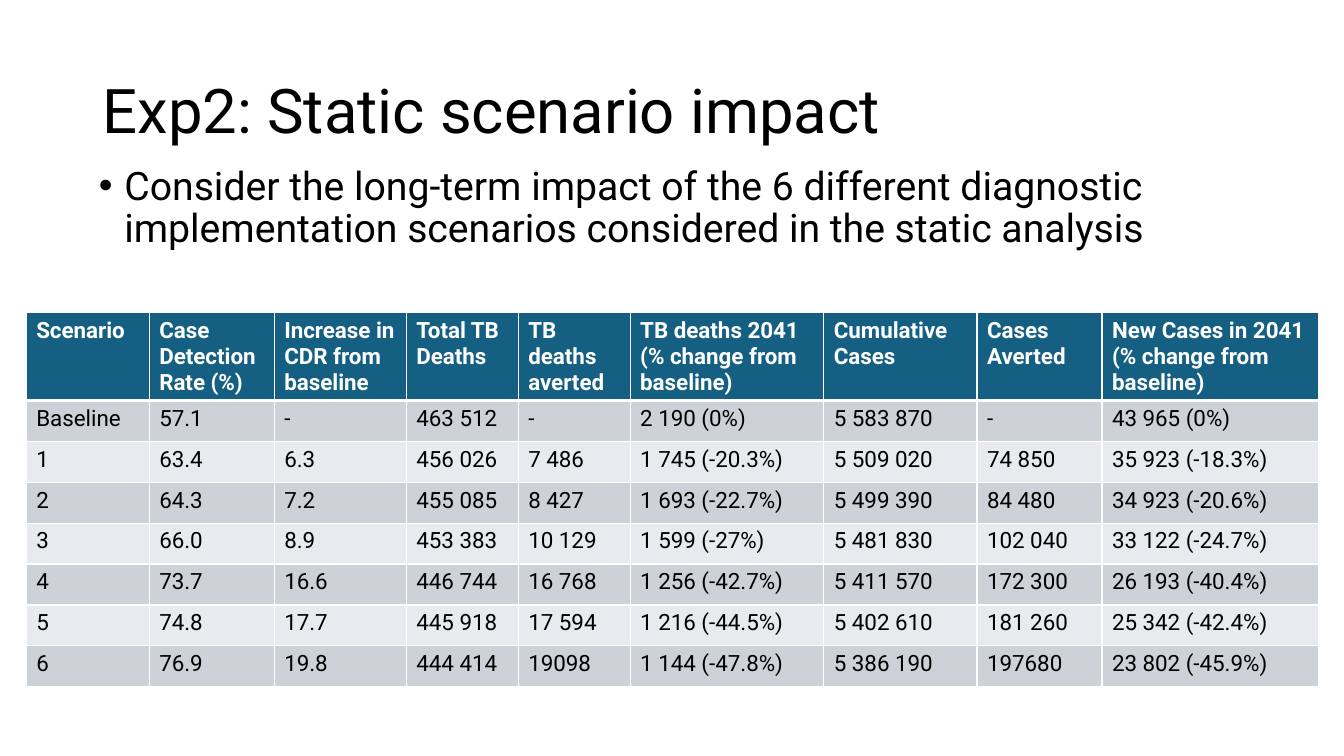
from lxml.etree import SubElement
from pptx import Presentation
from pptx.dml.color import RGBColor
from pptx.enum.text import MSO_ANCHOR, MSO_AUTO_SIZE, PP_ALIGN
from pptx.oxml.ns import qn
from pptx.util import Cm, Pt

TITLE = "Exp2: Static scenario impact"
BULLET = ("Consider the long-term impact of the 6 different diagnostic "
          "implementation scenarios considered in the static analysis")
HEADINGS = (
    "Scenario", "Case Detection Rate (%)", "Increase in CDR from baseline",
    "Total TB Deaths", "TB deaths averted",
    "TB deaths 2041\n(% change from baseline)", "Cumulative Cases",
    "Cases Averted", "New Cases in 2041 (% change from baseline)",
)
SCENARIOS = (
    ("Baseline", "57.1", "-", "463 512", "-", "2 190 (0%)",
     "5 583 870", "-", "43 965 (0%)"),
    ("1", "63.4", "6.3", "456 026", "7 486", "1 745 (-20.3%)",
     "5 509 020", "74 850", "35 923 (-18.3%)"),
    ("2", "64.3", "7.2", "455 085", "8 427", "1 693 (-22.7%)",
     "5 499 390", "84 480", "34 923 (-20.6%)"),
    ("3", "66.0", "8.9", "453 383", "10 129", "1 599 (-27%)",
     "5 481 830", "102 040", "33 122 (-24.7%)"),
    ("4", "73.7", "16.6", "446 744", "16 768", "1 256 (-42.7%)",
     "5 411 570", "172 300", "26 193 (-40.4%)"),
    ("5", "74.8", "17.7", "445 918", "17 594", "1 216 (-44.5%)",
     "5 402 610", "181 260", "25 342 (-42.4%)"),
    ("6", "76.9", "19.8", "444 414", "19098", "1 144 (-47.8%)",
     "5 386 190", "197680", "23 802 (-45.9%)"),
)
COLUMN_WIDTHS = (3.1, 3.15, 3.33, 2.82, 2.82, 4.88, 3.86, 3.15, 5.46)
ROW_HEIGHT = 1.03

FONT = "Roboto"
BLACK = RGBColor(0x00, 0x00, 0x00)
WHITE = RGBColor(0xFF, 0xFF, 0xFF)
HEADER_BLUE = RGBColor(0x15, 0x60, 0x82)
BANDS = (RGBColor(0xCC, 0xD2, 0xD8), RGBColor(0xE8, 0xEA, 0xED))


def write(frame, text, size, color=BLACK, bold=False, spacing=None, before=0):
    frame.text = text
    for para in frame.paragraphs:
        para.alignment = PP_ALIGN.LEFT
        para.line_spacing = spacing
        para.space_before = Pt(before)
        for span in para.runs:
            span.font.name = FONT
            span.font.size = Pt(size)
            span.font.bold = bold
            span.font.color.rgb = color


def place(box, left, top, width, height):
    box.left, box.top = Cm(left), Cm(top)
    box.width, box.height = Cm(width), Cm(height)
    box.text_frame.word_wrap = True
    box.text_frame.auto_size = MSO_AUTO_SIZE.NONE


def set_borders(cell, top=1, bottom=1):
    """Draw white borders; must run before the cell is filled."""
    properties = cell._tc.get_or_add_tcPr()
    for side, points in (("L", 1), ("R", 1), ("T", top), ("B", bottom)):
        line = SubElement(properties, qn(f"a:ln{side}"), w=str(Pt(points)))
        fill = SubElement(line, qn("a:solidFill"))
        SubElement(fill, qn("a:srgbClr"), val=str(WHITE))


def add_scenario_table(page):
    rows = (HEADINGS, *SCENARIOS)
    table = page.shapes.add_table(
        len(rows), len(HEADINGS), Cm(0.66), Cm(7.87),
        Cm(sum(COLUMN_WIDTHS)), Cm(ROW_HEIGHT * len(rows))).table
    for column, width in zip(table.columns, COLUMN_WIDTHS):
        column.width = Cm(width)
    for index, values in enumerate(rows):
        table.rows[index].height = Cm(ROW_HEIGHT)
        header = index == 0
        for cell, value in zip(table.rows[index].cells, values):
            set_borders(cell, top=3 if index == 1 else 1,
                        bottom=3 if header else 1)
            cell.fill.solid()
            cell.fill.fore_color.rgb = (
                HEADER_BLUE if header else BANDS[(index - 1) % 2])
            write(cell.text_frame, value, 16,
                  color=WHITE if header else BLACK, bold=header)


def main():
    deck = Presentation()
    deck.slide_width, deck.slide_height = Cm(33.87), Cm(19.05)
    page = deck.slides.add_slide(deck.slide_layouts[1])

    title, body = page.placeholders
    place(title, 2.33, 1.01, 29.21, 3.68)
    title.text_frame.vertical_anchor = MSO_ANCHOR.MIDDLE
    write(title.text_frame, TITLE, 44, spacing=0.9)

    place(body, 2.24, 4.06, 29.21, 2.44)
    write(body.text_frame, BULLET, 28, spacing=0.9, before=10)
    indents = body.text_frame.paragraphs[0]._p.get_or_add_pPr()
    indents.set("marL", str(Cm(0.64)))
    indents.set("indent", str(Cm(-0.64)))

    add_scenario_table(page)
    deck.save("out.pptx")


if __name__ == "__main__":
    main()
